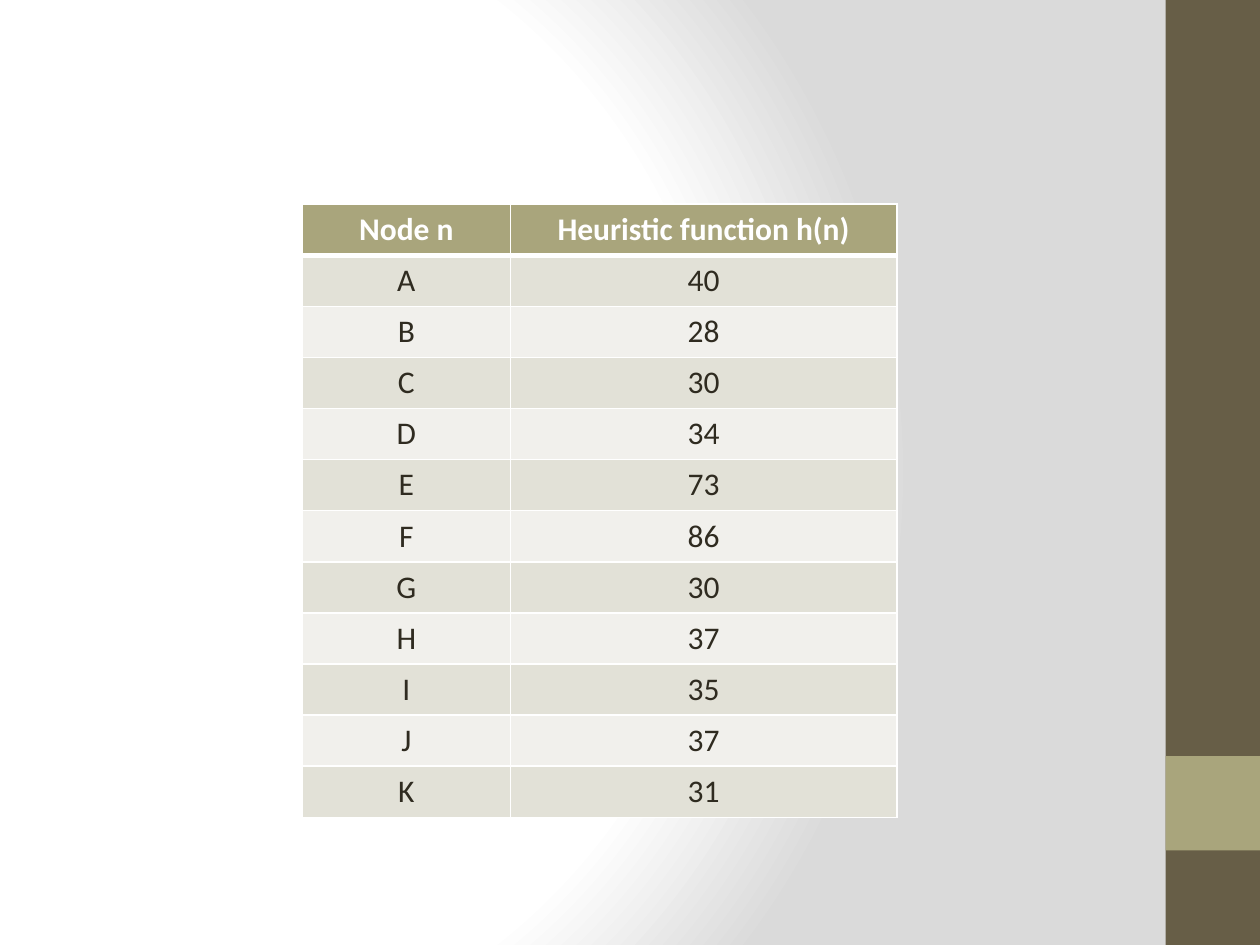
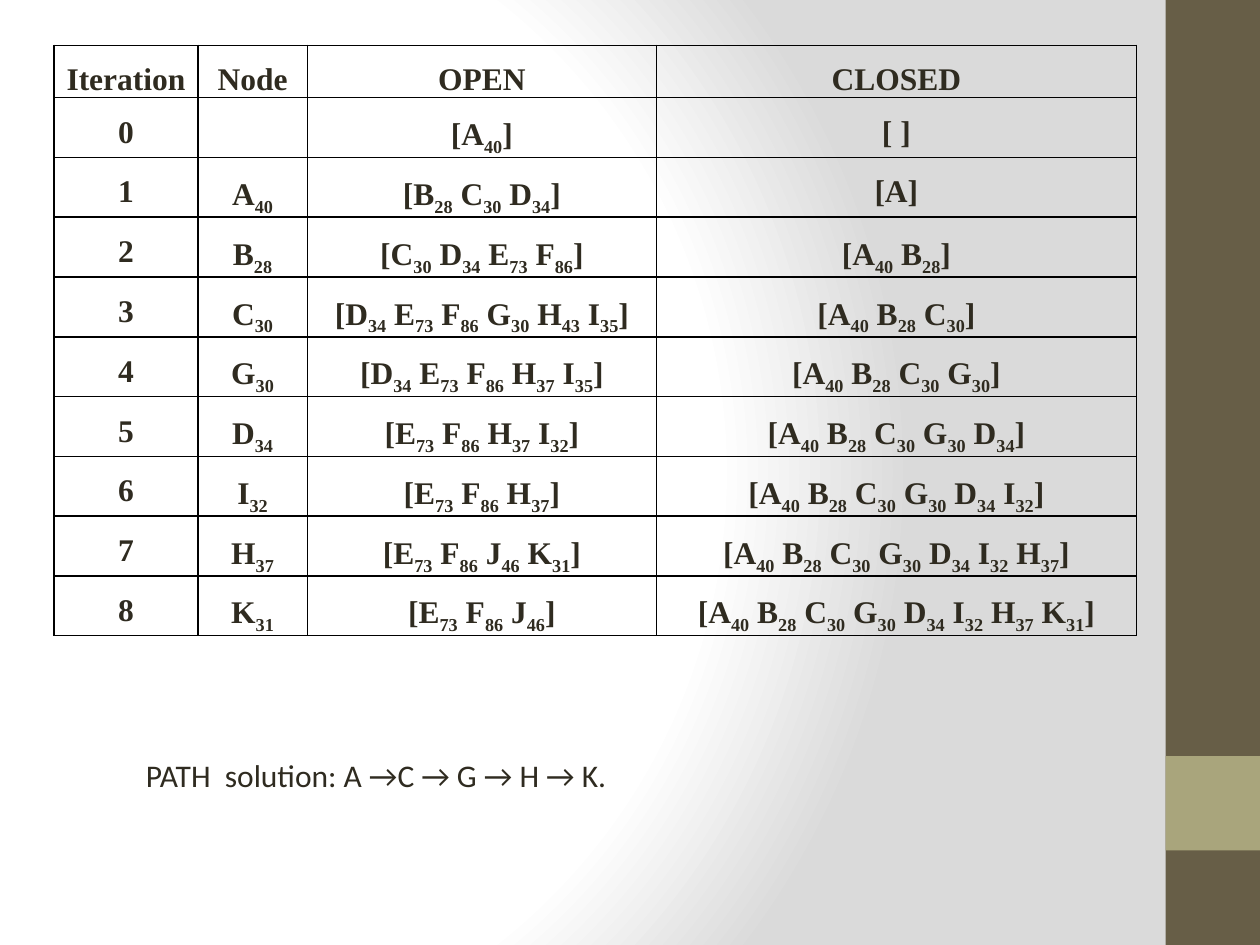
from itertools import groupby

from pptx import Presentation
from pptx.dml.color import RGBColor
from pptx.enum import shapes, text
from pptx.oxml import parse_xml
from pptx.oxml.ns import nsdecls, qn
from pptx.util import Inches, Pt

# Shared look
WHITE = RGBColor(0xFF, 0xFF, 0xFF)
BLACK = RGBColor(0x00, 0x00, 0x00)
GREY = RGBColor(0xDA, 0xDA, 0xDA)
INK = RGBColor(0x2F, 0x2B, 0x20)
BROWN = RGBColor(0x67, 0x5E, 0x47)
OLIVE = RGBColor(0xA9, 0xA5, 0x7C)
BAND_DARK = RGBColor(0xE2, 0xE1, 0xD7)
BAND_LIGHT = RGBColor(0xF1, 0xF0, 0xEC)
SANS = "Calibri"
SERIF = "Times New Roman"
SIZE = Pt(18)

HEURISTIC = [("Node n", "Heuristic function h(n)")] + list(zip(
    "ABCDEFGHIJK",
    ["40", "28", "30", "34", "73", "86", "30", "37", "35", "37", "31"]))

SEARCH = [
    ("Iteration", "Node", "OPEN", "CLOSED"),
    ("0", "", "[A40]", "[ ]"),
    ("1", "A40", "[B28 C30 D34]", "[A]"),
    ("2", "B28", "[C30 D34 E73 F86]", "[A40 B28]"),
    ("3", "C30", "[D34 E73 F86 G30 H43 I35]", "[A40 B28 C30]"),
    ("4", "G30", "[D34 E73 F86 H37 I35]", "[A40 B28 C30 G30]"),
    ("5", "D34", "[E73 F86 H37 I32]", "[A40 B28 C30 G30 D34]"),
    ("6", "I32", "[E73 F86 H37]", "[A40 B28 C30 G30 D34 I32]"),
    ("7", "H37", "[E73 F86 J46 K31]", "[A40 B28 C30 G30 D34 I32 H37]"),
    ("8", "K31", "[E73 F86 J46]", "[A40 B28 C30 G30 D34 I32 H37 K31]"),
]


def set_background(s):
    """Radial fade from white to grey."""
    s.background.fill.gradient()
    old = s.element.find(".//" + qn("a:gradFill"))
    stops = "".join(
        f'<a:gs pos="{pos}000"><a:srgbClr val="{color}"/></a:gs>'
        for pos, color in ((0, WHITE), (75, WHITE), (100, GREY)))
    old.getparent().replace(old, parse_xml(
        f'<a:gradFill {nsdecls("a")} rotWithShape="1"><a:gsLst>{stops}</a:gsLst>'
        '<a:path path="circle">'
        '<a:fillToRect l="20000" t="50000" r="100000" b="50000"/>'
        '</a:path></a:gradFill>'))


def add_band(s, top, height, color):
    sp = s.shapes.add_shape(shapes.MSO_SHAPE.RECTANGLE, Inches(9.25),
                            Inches(top), Inches(0.75), Inches(height))
    sp.shadow.inherit = False
    sp.fill.solid()
    sp.fill.fore_color.rgb = color
    sp.line.fill.background()


def add_slide(prs):
    s = prs.slides.add_slide(prs.slide_layouts[6])
    set_background(s)
    add_band(s, 0, 7.5, BROWN)
    add_band(s, 6, 0.75, OLIVE)
    return s


def style_run(r, font, color, bold=False):
    r.font.name = font
    r.font.size = SIZE
    r.font.bold = bold
    r.font.color.rgb = color


def set_borders(cell, color, top=1, bottom=1):
    tc_pr = cell._tc.get_or_add_tcPr()
    for side, width in (("L", 1), ("R", 1), ("T", top), ("B", bottom)):
        tc_pr.append(parse_xml(
            f'<a:ln{side} {nsdecls("a")} w="{Pt(width)}"><a:solidFill>'
            f'<a:srgbClr val="{color}"/></a:solidFill></a:ln{side}>'))


def write_cell(cell, content, font, color, bold):
    """Digits that follow a letter become subscripts."""
    p = cell.text_frame.paragraphs[0]
    p.alignment = text.PP_ALIGN.CENTER
    p.font.size = SIZE
    for i, (is_number, chars) in enumerate(groupby(content, str.isdigit)):
        r = p.add_run()
        r.text = "".join(chars)
        style_run(r, font, color, bold)
        if is_number and i > 0:
            r._r.get_or_add_rPr().set("baseline", "-25000")
    return p


def add_table(s, rows, left, top, widths, heights):
    frame = s.shapes.add_table(len(rows), len(widths), Inches(left), Inches(top),
                               Inches(sum(widths)), Inches(sum(heights)))
    table = frame.table
    table.first_row = table.horz_banding = False
    for column, width in zip(table.columns, widths):
        column.width = Inches(width)
    for row, height in zip(table.rows, heights):
        row.height = Inches(height)
    return table


def add_heuristic_table(s):
    table = add_table(s, HEURISTIC, 2.4, 1.62, [1.65, 3.07],
                      [4.87 / len(HEURISTIC)] * len(HEURISTIC))
    for i, row in enumerate(HEURISTIC):
        header = i == 0
        fill = OLIVE if header else BAND_DARK if i % 2 else BAND_LIGHT
        for j, content in enumerate(row):
            cell = table.cell(i, j)
            set_borders(cell, WHITE, top=3 if i == 1 else 1,
                        bottom=3 if header else 1)
            cell.fill.solid()
            cell.fill.fore_color.rgb = fill
            write_cell(cell, content, SANS, WHITE if header else INK, header)


def add_search_table(s):
    table = add_table(s, SEARCH, 0.43, 0.36, [1.14, 0.87, 2.77, 3.81],
                      [0.41] + [0.47] * (len(SEARCH) - 1))
    for i, row in enumerate(SEARCH):
        for j, content in enumerate(row):
            cell = table.cell(i, j)
            cell.margin_left = cell.margin_right = Inches(0.07)
            cell.margin_top = cell.margin_bottom = 0
            set_borders(cell, BLACK)
            cell.fill.background()
            p = write_cell(cell, content, SERIF, INK, True)
            if content:
                p.line_spacing = 1.5


def add_caption(s, content, left, top, width, height):
    tf = s.shapes.add_textbox(Inches(left), Inches(top), Inches(width),
                              Inches(height)).text_frame
    tf.word_wrap = False
    tf.auto_size = text.MSO_AUTO_SIZE.SHAPE_TO_FIT_TEXT
    tf.text = content
    style_run(tf.paragraphs[0].runs[0], SANS, INK)


def main():
    prs = Presentation()
    prs.slide_width, prs.slide_height = Inches(10), Inches(7.5)

    # Heuristic values
    add_heuristic_table(add_slide(prs))

    # Search trace and solution
    s = add_slide(prs)
    add_search_table(s)
    add_caption(s, "PATH  solution: A →C → G → H → K.", 1.06, 5.95, 3.99, 0.4)

    prs.save("out.pptx")


if __name__ == "__main__":
    main()
